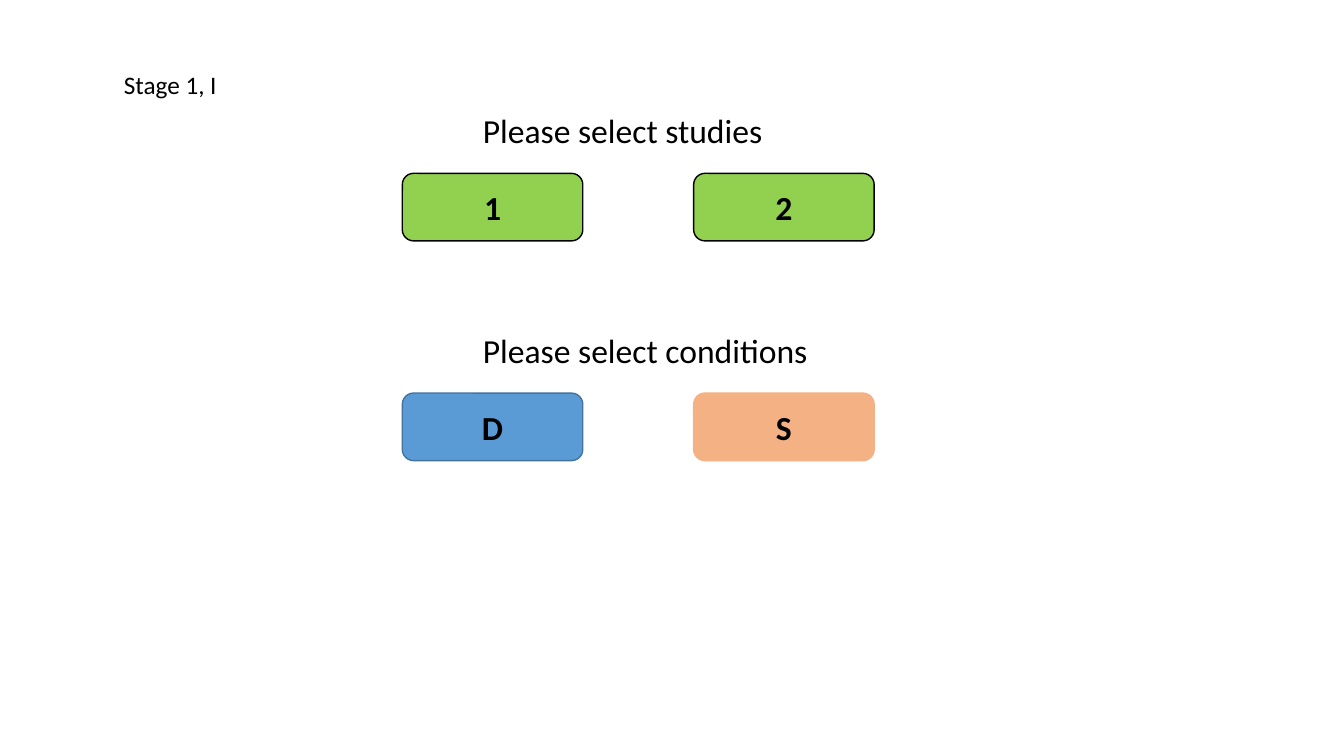
from pptx import Presentation
from pptx.dml.color import RGBColor
from pptx.enum.shapes import MSO_SHAPE as SHAPE
from pptx.enum.text import MSO_ANCHOR as ANCHOR, MSO_AUTO_SIZE as AUTO, PP_ALIGN as ALIGN
from pptx.util import Inches, Pt

# Content: heading, heading width, buttons as (label, fill, outline)
STAGE = "Stage 1, I"
GROUPS = [
    ("Please select studies", 3.0,
     [("1", "92D050", "000000"), ("2", "92D050", "000000")]),
    ("Please select conditions", 3.45,
     [("D", "5B9BD5", "43739E"), ("S", "F4B183", "F4B183")]),
]

# Layout in inches
GROUP_TOP, GROUP_STEP = 1.04, 2.18
HEADING_LEFT, HEADING_H = 4.69, 0.5
BUTTON_LEFT, BUTTON_STEP, BUTTON_DROP = 3.99, 2.89, 0.68
BUTTON_W, BUTTON_H = 1.79, 0.67

# Text formats
LABEL = {"name": "Calibri", "size": Pt(18), "bold": False}
HEADING = {**LABEL, "size": Pt(24)}
BUTTON = {**HEADING, "bold": True}


def color(value):
    return RGBColor.from_string(value)


def write(sp, text, font):
    p = sp.text_frame.paragraphs[0]
    r = p.add_run()
    r.text = text
    for key, value in font.items():
        setattr(r.font, key, value)
    r.font.color.rgb = color("000000")
    return p


def add_text(slide, box, text, font, wrap):
    sp = slide.shapes.add_textbox(*map(Inches, box))
    sp.text_frame.word_wrap = wrap
    sp.text_frame.auto_size = AUTO.SHAPE_TO_FIT_TEXT
    write(sp, text, font)


def add_button(slide, left, top, label, fill, outline):
    box = (left, top, BUTTON_W, BUTTON_H)
    sp = slide.shapes.add_shape(SHAPE.ROUNDED_RECTANGLE, *map(Inches, box))
    sp.shadow.inherit = False
    sp.fill.solid()
    sp.fill.fore_color.rgb = color(fill)
    sp.line.color.rgb = color(outline)
    sp.line.width = Pt(1)
    sp.text_frame.vertical_anchor = ANCHOR.MIDDLE
    write(sp, label, BUTTON).alignment = ALIGN.CENTER


def main():
    prs = Presentation()
    prs.slide_width, prs.slide_height = Inches(13.33), Inches(7.5)
    slide = prs.slides.add_slide(prs.slide_layouts[6])

    # Each group: heading above a row of buttons
    for i, (heading, width, buttons) in enumerate(GROUPS):
        top = GROUP_TOP + i * GROUP_STEP
        add_text(slide, (HEADING_LEFT, top, width, HEADING_H), heading, HEADING, False)
        for j, button in enumerate(buttons):
            add_button(slide, BUTTON_LEFT + j * BUTTON_STEP, top + BUTTON_DROP, *button)

    # Stage label
    add_text(slide, (1.13, 0.64, 1.45, 0.4), STAGE, LABEL, True)

    prs.save("out.pptx")


if __name__ == "__main__":
    main()
